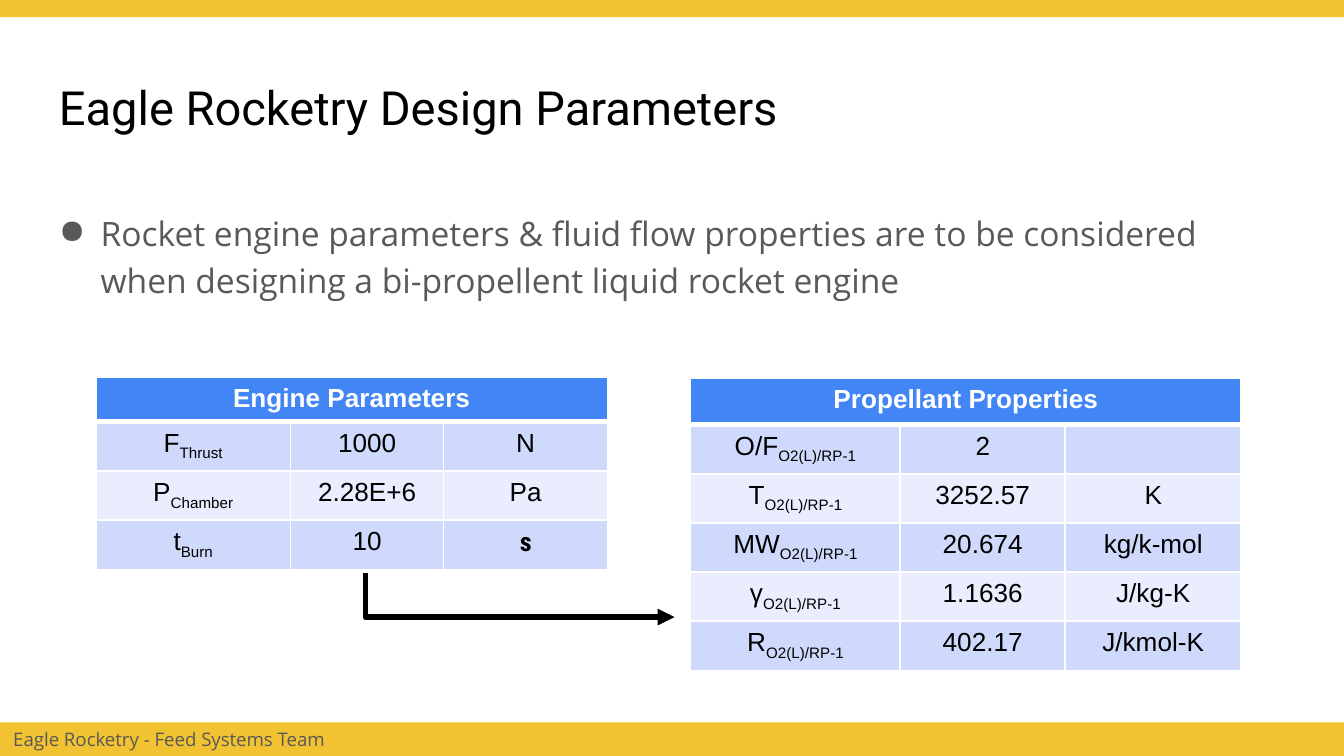
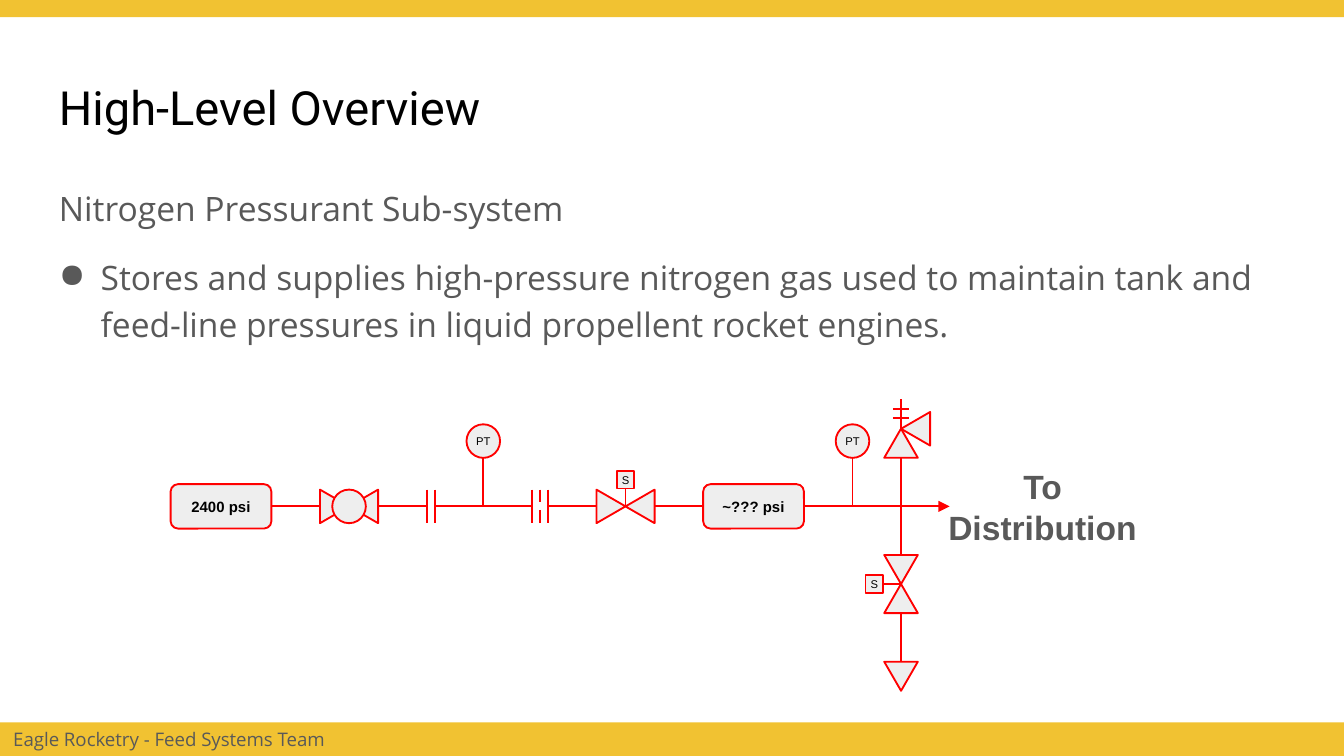
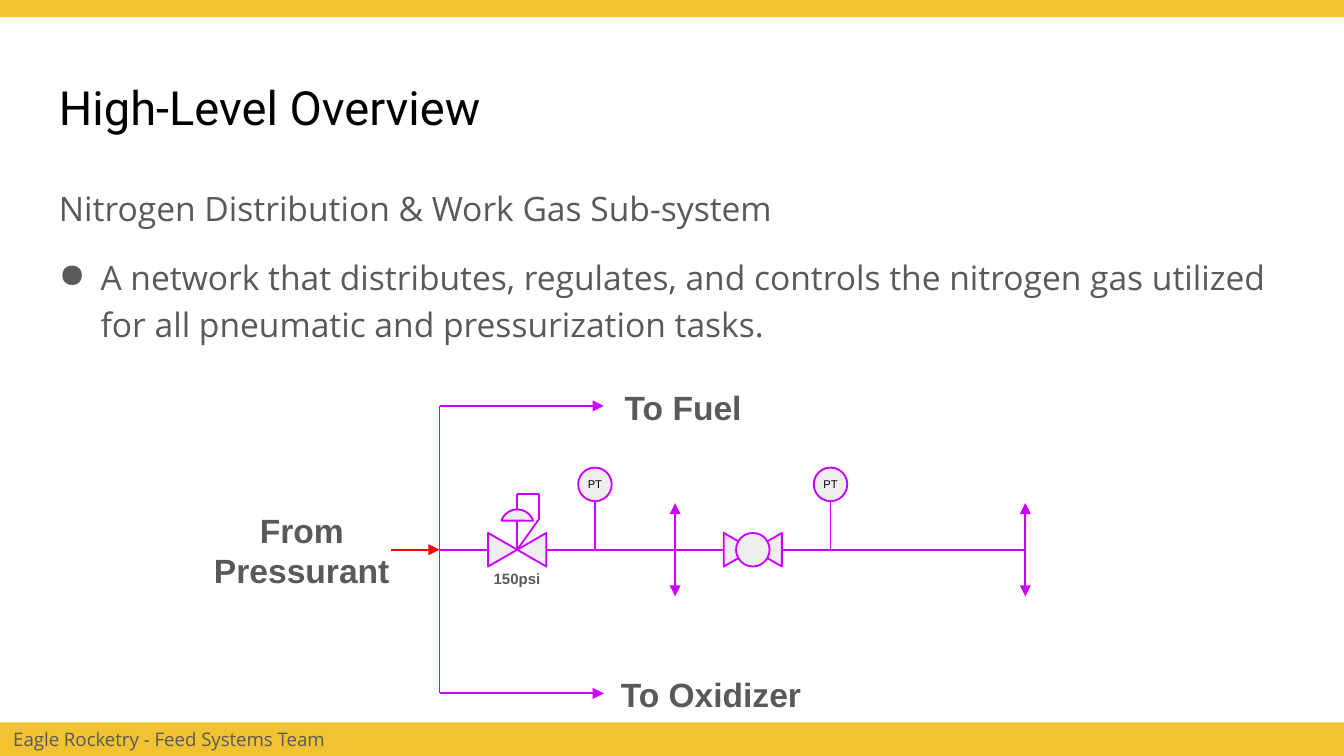
from dataclasses import dataclass
from typing import Any, NamedTuple, Optional

import lxml.etree
import pptx
import pptx.dml.color
import pptx.enum.shapes
import pptx.enum.text
import pptx.oxml.ns
import pptx.util

Pt = pptx.util.Pt
SHAPE = pptx.enum.shapes.MSO_SHAPE
CONNECTOR = pptx.enum.shapes.MSO_CONNECTOR
ALIGN = pptx.enum.text.PP_ALIGN
ANCHOR = pptx.enum.text.MSO_ANCHOR
qn = pptx.oxml.ns.qn

Point = tuple[float, float]


@dataclass(frozen=True)
class Theme:
    band: str = "F1C232"
    ink: str = "000000"
    grey: str = "595959"
    white: str = "FFFFFF"
    header: str = "4285F4"
    rows: tuple[str, str] = ("CFD9FB", "E9EDFD")
    symbol_fill: str = "EEEEEE"
    pressurant: str = "FF0000"
    distribution: str = "CC00FF"
    title_size: float = 25.2
    body_size: float = 18
    table_size: float = 14
    footer_size: float = 10
    tag_size: float = 8
    symbol_size: float = 6


THEME = Theme()
WIDTH, HEIGHT = 720, 405


class Box(NamedTuple):
    x: float
    y: float
    w: float
    h: float

    def lengths(self) -> list[int]:
        return [Pt(v) for v in self]


class Style(NamedTuple):
    size: float
    font: str = "Arial"
    color: str = THEME.ink
    bold: bool = False


class Grid(NamedTuple):
    title: str
    at: Box
    cols: list[float]
    row_height: float
    rows: list[tuple[str, str, str, str]]  # symbol, subscript, value, unit


TITLE = Style(THEME.title_size, "Roboto")
BODY = Style(THEME.body_size, "Open Sans", THEME.grey)
FOOTER = Style(THEME.footer_size, "Open Sans", THEME.grey)
LABEL = Style(THEME.body_size, color=THEME.grey, bold=True)
TAG = Style(THEME.tag_size, color=THEME.grey, bold=True)
VESSEL = Style(THEME.tag_size, bold=True)
SYMBOL = Style(THEME.symbol_size)
CELL = Style(THEME.table_size)
HEADER = Style(THEME.table_size, color=THEME.white, bold=True)
SECOND_UNIT = Style(THEME.table_size, "Roboto Condensed", bold=True)

ENGINE = Grid("Engine Parameters", Box(51.3, 202, 274.3, 92), [104.4, 82, 87.9], 23, [
    ("F", "Thrust", "1000", "N"),
    ("P", "Chamber", "2.28E+6", "Pa"),
    ("t", "Burn", "10", "s"),
])
MIXTURE = "O2(L)/RP-1"
PROPELLANT = Grid("Propellant Properties", Box(370, 202.5, 295, 150), [112.3, 88.4, 94.3], 25, [
    ("O/F", MIXTURE, "2", ""),
    ("T", MIXTURE, "3252.57", "K"),
    ("MW", MIXTURE, "20.674", "kg/k-mol"),
    ("γ", MIXTURE, "1.1636", "J/kg-K"),
    ("R", MIXTURE, "402.17", "J/kmol-K"),
])


def rgb(color: str) -> pptx.dml.color.RGBColor:
    return pptx.dml.color.RGBColor.from_string(color)


def set_all(obj: Any, values: dict[str, Any]) -> None:
    for name, value in values.items():
        setattr(obj, name, value)


def add_run(p: Any, text: str, style: Style) -> Any:
    r = p.add_run()
    r.text = text
    set_all(r.font, {"size": Pt(style.size), "name": style.font, "bold": style.bold})
    r.font.color.rgb = rgb(style.color)
    return r


def frame(sp: Any, inset: float = 7.2, anchor: Any = ANCHOR.MIDDLE) -> Any:
    tf = sp.text_frame
    set_all(tf, {"word_wrap": True, "vertical_anchor": anchor})
    set_all(tf, {f"margin_{side}": Pt(inset) for side in ("left", "top", "right", "bottom")})
    return tf


def write(sp: Any, text: str, style: Style, align: Any = ALIGN.CENTER, **layout: Any) -> None:
    p = frame(sp, **layout).paragraphs[0]
    p.alignment = align
    add_run(p, text, style)


def add_shape(s: Any, kind: Any, at: Box, fill: str, line: Optional[str] = None) -> Any:
    sp = s.shapes.add_shape(kind, *at.lengths())
    sp.shadow.inherit = False
    sp.fill.solid()
    sp.fill.fore_color.rgb = rgb(fill)
    if line:
        sp.line.color.rgb = rgb(line)
        sp.line.width = Pt(1)
    else:
        sp.line.fill.background()
    return sp


def add_line(s: Any, start: Point, end: Point, color: str, width: float = 1,
             arrow: bool = False, kind: Any = CONNECTOR.STRAIGHT) -> Any:
    cxn = s.shapes.add_connector(kind, *(Pt(v) for v in start + end))
    cxn.line.color.rgb = rgb(color)
    cxn.line.width = Pt(width)
    spPr = cxn._element.spPr
    if arrow:
        lxml.etree.SubElement(spPr.find(qn("a:ln")), qn("a:tailEnd"), type="triangle")
    lxml.etree.SubElement(spPr, qn("a:effectLst"))
    return cxn


def add_label(s: Any, at: Box, text: str, style: Style = LABEL, **layout: Any) -> None:
    write(s.shapes.add_textbox(*at.lengths()), text, style, **layout)


def add_bullet(p: Any) -> None:
    p.line_spacing = 1.15
    pPr = p._p.get_or_add_pPr()
    pPr.set("marL", str(Pt(22.3)))
    pPr.set("indent", str(-Pt(22.3)))
    color = lxml.etree.SubElement(pPr, qn("a:buClr"))
    lxml.etree.SubElement(color, qn("a:srgbClr"), val=THEME.grey)
    lxml.etree.SubElement(pPr, qn("a:buChar"), char="●")


def new_slide(prs: Any, title: str, bullet: str, heading: str = "") -> Any:
    """Add a slide with bands, title, optional heading and one bullet."""
    s = prs.slides.add_slide(prs.slide_layouts[6])
    footer = add_shape(s, SHAPE.RECTANGLE, Box(0, 387, WIDTH, 18), THEME.band)
    write(footer, "Eagle Rocketry - Feed Systems Team", FOOTER, ALIGN.LEFT)
    add_shape(s, SHAPE.RECTANGLE, Box(0, 0, WIDTH, 9.2), THEME.band)
    add_label(s, Box(24.5, 35, 671, 45.1), title, TITLE, align=ALIGN.LEFT, anchor=ANCHOR.TOP)

    tf = frame(s.shapes.add_textbox(*Box(24.5, 90.5, 671, 269).lengths()), anchor=ANCHOR.TOP)
    p = tf.paragraphs[0]
    if heading:
        set_all(p, {"line_spacing": 1.15, "space_after": Pt(12)})
        add_run(p, heading, BODY)
        p = tf.add_paragraph()
    else:
        tf.margin_top = Pt(20.6)
    add_bullet(p)
    add_run(p, bullet, BODY)
    return s


def format_cell(cell: Any, fill: str, top: float = 1, bottom: float = 1) -> Any:
    """Set borders and fill, and return the centred paragraph."""
    tcPr = cell._tc.get_or_add_tcPr()
    for side, width in {"L": 1, "R": 1, "T": top, "B": bottom}.items():
        ln = lxml.etree.SubElement(tcPr, qn(f"a:ln{side}"), w=str(Pt(width)))
        solid = lxml.etree.SubElement(ln, qn("a:solidFill"))
        lxml.etree.SubElement(solid, qn("a:srgbClr"), val=THEME.white)
    cell.fill.solid()
    cell.fill.fore_color.rgb = rgb(fill)
    p = cell.text_frame.paragraphs[0]
    p.alignment = ALIGN.CENTER
    return p


def add_grid(s: Any, grid: Grid) -> None:
    n = len(grid.rows) + 1
    table = s.shapes.add_table(n, len(grid.cols), *grid.at.lengths()).table
    for col, width in zip(table.columns, grid.cols):
        col.width = Pt(width)
    for row in table.rows:
        row.height = Pt(grid.row_height)

    table.cell(0, 0).merge(table.cell(0, len(grid.cols) - 1))
    for col in range(len(grid.cols)):
        p = format_cell(table.cell(0, col), THEME.header, bottom=3)
        if col == 0:
            add_run(p, grid.title, HEADER)

    for i, (symbol, subscript, value, unit) in enumerate(grid.rows):
        for col, text in enumerate((symbol, value, unit)):
            p = format_cell(table.cell(i + 1, col), THEME.rows[i % 2], top=1 if i else 3)
            if text:
                add_run(p, text, SECOND_UNIT if text == "s" else CELL)
            else:
                lxml.etree.SubElement(p._p, qn("a:endParaRPr"), sz=str(THEME.table_size * 100))
            if col == 0:
                r = add_run(p, subscript, CELL)
                r._r.get_or_add_rPr().set("baseline", "-25000")


@dataclass
class Piping:
    """Piping diagram along one axis; fittings take their left x and return their right x."""

    s: Any
    color: str
    axis: float

    STEP = 26
    SIZE = 18
    HALF_VALVE = 15.6
    SOLENOID = 9.4

    def line(self, start: Point, end: Point, arrow: bool = False) -> Any:
        return add_line(self.s, start, end, self.color, arrow=arrow)

    def symbol(self, kind: Any, cx: float, cy: float, w: float, h: float) -> Any:
        at = Box(cx - w / 2, cy - h / 2, w, h)
        return add_shape(self.s, kind, at, THEME.symbol_fill, self.color)

    def pipe(self, x: float, length: float = STEP, arrow: bool = False,
             source: Any = None, target: Any = None) -> float:
        cxn = self.line((x, self.axis), (x + length, self.axis), arrow)
        if source:
            cxn.begin_connect(source, 3)
        if target:
            cxn.end_connect(target, 1)
        return x + length

    def triangle(self, tip: Point, dx: int, dy: int) -> None:
        """Draw a triangle that extends from its tip along (dx, dy)."""
        half = self.HALF_VALVE / 2
        sp = self.symbol(SHAPE.ISOSCELES_TRIANGLE, tip[0] + dx * half, tip[1] + dy * half,
                         self.SIZE, self.HALF_VALVE)
        sp.rotation = {(0, 1): 0, (-1, 0): 90, (0, -1): 180, (1, 0): 270}[dx, dy]

    def valve(self, x: float) -> float:
        for side in (-1, 1):
            self.triangle((x + self.HALF_VALVE, self.axis), side, 0)
        return x + 2 * self.HALF_VALVE

    def ball_valve(self, x: float) -> float:
        end = self.valve(x)
        self.symbol(SHAPE.OVAL, x + self.HALF_VALVE, self.axis, self.SIZE, self.SIZE)
        return end

    def solenoid(self, center: Point, dx: int, dy: int, site: int) -> None:
        reach = 9.6 + self.SOLENOID / 2
        sp = self.symbol(SHAPE.RECTANGLE, center[0] + dx * reach, center[1] + dy * reach,
                         self.SOLENOID, self.SOLENOID)
        write(sp, "S", SYMBOL, inset=0)
        self.line(center, center).end_connect(sp, site)

    def solenoid_valve(self, x: float) -> float:
        end = self.valve(x)
        self.solenoid((x + self.HALF_VALVE, self.axis), 0, -1, 2)
        return end

    def regulator(self, x: float) -> float:
        end = self.valve(x)
        cx, cy = x + self.HALF_VALVE, self.axis
        self.line((cx, cy), (cx, cy - 15.8))
        dome = self.symbol(SHAPE.CHORD, cx, cy - 12.6, self.SIZE, self.SIZE)
        dome.adjustments[0], dome.adjustments[1] = 119.53, 204.73
        sense = [(cx, cy - 21.4), (cx, cy - 30), (cx + 11.7, cy - 30),
                 (cx + 11.7, cy - 16.5), (cx, cy)]
        for start, stop in zip(sense, sense[1:]):
            self.line(start, stop)
        return end

    def plates(self, x: float, gap: float) -> float:
        for px in (x, x + gap):
            self.line((px, self.axis - 9), (px, self.axis + 9))
        return x + gap

    def strainer(self, x: float) -> float:
        end = self.plates(x, 8.6)
        for side in (-1, 1):
            self.line((x + 4.3, self.axis + side * 9), (x + 4.3, self.axis + side * 2.2))
        return end

    def vessel(self, x: float, text: str) -> Any:
        sp = self.symbol(SHAPE.ROUNDED_RECTANGLE, x + 27, self.axis, 54, 23.8)
        write(sp, text, VESSEL)
        return sp

    def sensor(self, x: float) -> None:
        top = self.axis - self.STEP
        self.line((x, top), (x, self.axis))
        sp = self.symbol(SHAPE.OVAL, x, top - self.SIZE / 2, self.SIZE, self.SIZE)
        write(sp, "PT", SYMBOL, inset=0)

    def outlets(self, x: float) -> None:
        for side in (-1, 1):
            self.line((x, self.axis), (x, self.axis + side * 25), arrow=True)

    def relief(self, x: float) -> None:
        """Relief branch above the axis."""
        base = self.axis - self.STEP
        y = base - self.HALF_VALVE
        self.line((x, base), (x, self.axis))
        self.triangle((x, y), 0, 1)
        self.triangle((x, y), 1, 0)
        self.line((x, y), (x, y - 15.8))
        for rise in (10.8, 5.8):
            self.line((x - 4.3, y - rise), (x + 4.3, y - rise))

    def vent(self, x: float) -> None:
        """Solenoid vent branch below the axis."""
        top = self.axis + self.STEP
        center = top + self.HALF_VALVE
        bottom = center + self.HALF_VALVE
        self.line((x, self.axis), (x, top))
        for side in (-1, 1):
            self.triangle((x, center), 0, side)
        self.solenoid((x, center), -1, 0, 3)
        self.line((x, bottom), (x, bottom + self.STEP))
        self.triangle((x, bottom + self.STEP + self.HALF_VALVE), 0, -1)


def design_parameters(prs: Any) -> None:
    s = new_slide(prs, "Eagle Rocketry Design Parameters",
                  "Rocket engine parameters & fluid flow properties are to be considered "
                  "when designing a bi-propellent liquid rocket engine")
    for grid in (ENGINE, PROPELLANT):
        add_grid(s, grid)
    elbow = add_line(s, (195.8, 307.2), (361.4, 330.6), THEME.ink, 3, True, CONNECTOR.ELBOW)
    geometry = elbow._element.spPr.find(qn("a:prstGeom"))
    guides = geometry.find(qn("a:avLst"))
    if guides is None:
        guides = lxml.etree.SubElement(geometry, qn("a:avLst"))
    lxml.etree.SubElement(guides, qn("a:gd"), name="adj1", fmla="val 0")


def pressurant(prs: Any) -> None:
    s = new_slide(prs, "High-Level Overview",
                  "Stores and supplies high-pressure nitrogen gas used to maintain tank and "
                  "feed-line pressures in liquid propellent rocket engines.",
                  "Nitrogen Pressurant Sub-system")
    d = Piping(s, THEME.pressurant, 271.3)
    supply = d.vessel(91.4, "2400 psi")
    x = d.pipe(145.4, source=supply)
    x = d.pipe(d.ball_valve(x))
    x = d.pipe(d.plates(x, 4.3))
    d.sensor(x)
    x = d.pipe(x)
    x = d.pipe(d.strainer(x))
    x = d.solenoid_valve(x)
    regulated = d.vessel(x + d.STEP, "~??? psi")
    d.pipe(x, target=regulated)
    x = d.pipe(x + d.STEP + 54, source=regulated)
    d.sensor(x)
    x = d.pipe(x)
    d.relief(x)
    d.vent(x)
    d.pipe(x, arrow=True)
    add_label(s, Box(500.2, 251.6, 116.6, 39.6), "To Distribution")


def distribution(prs: Any) -> None:
    s = new_slide(prs, "High-Level Overview",
                  "A network that distributes, regulates, and controls the nitrogen gas "
                  "utilized for all pneumatic and pressurization tasks.",
                  "Nitrogen Distribution & Work Gas Sub-system")
    d = Piping(s, THEME.distribution, 294.5)
    inlet = 235.5
    add_line(s, (inlet - d.STEP, d.axis), (inlet, d.axis), THEME.pressurant, arrow=True)
    for y in (d.axis - 77, d.axis + 77):
        d.line((inlet, d.axis), (inlet, y))
        d.line((inlet, y), (inlet + 88, y), arrow=True)

    x = d.pipe(d.regulator(d.pipe(inlet)))
    d.sensor(x)
    x = d.pipe(x, 43)
    d.outlets(x)
    x = d.pipe(d.ball_valve(d.pipe(x)))
    d.sensor(x)
    d.outlets(d.pipe(x, 104.4))

    add_label(s, Box(103.7, 275, 116, 39.6), "From Pressurant")
    add_label(s, Box(295, 198, 142, 39.6), "To Fuel")
    add_label(s, Box(315.4, 352, 131, 39.6), "To Oxidizer")
    add_label(s, Box(255.4, 300.2, 43.2, 24.3), "150psi", TAG, anchor=ANCHOR.TOP)


def main() -> None:
    prs = pptx.Presentation()
    set_all(prs, {"slide_width": Pt(WIDTH), "slide_height": Pt(HEIGHT)})
    for build in (design_parameters, pressurant, distribution):
        build(prs)
    prs.save("out.pptx")


if __name__ == "__main__":
    main()
